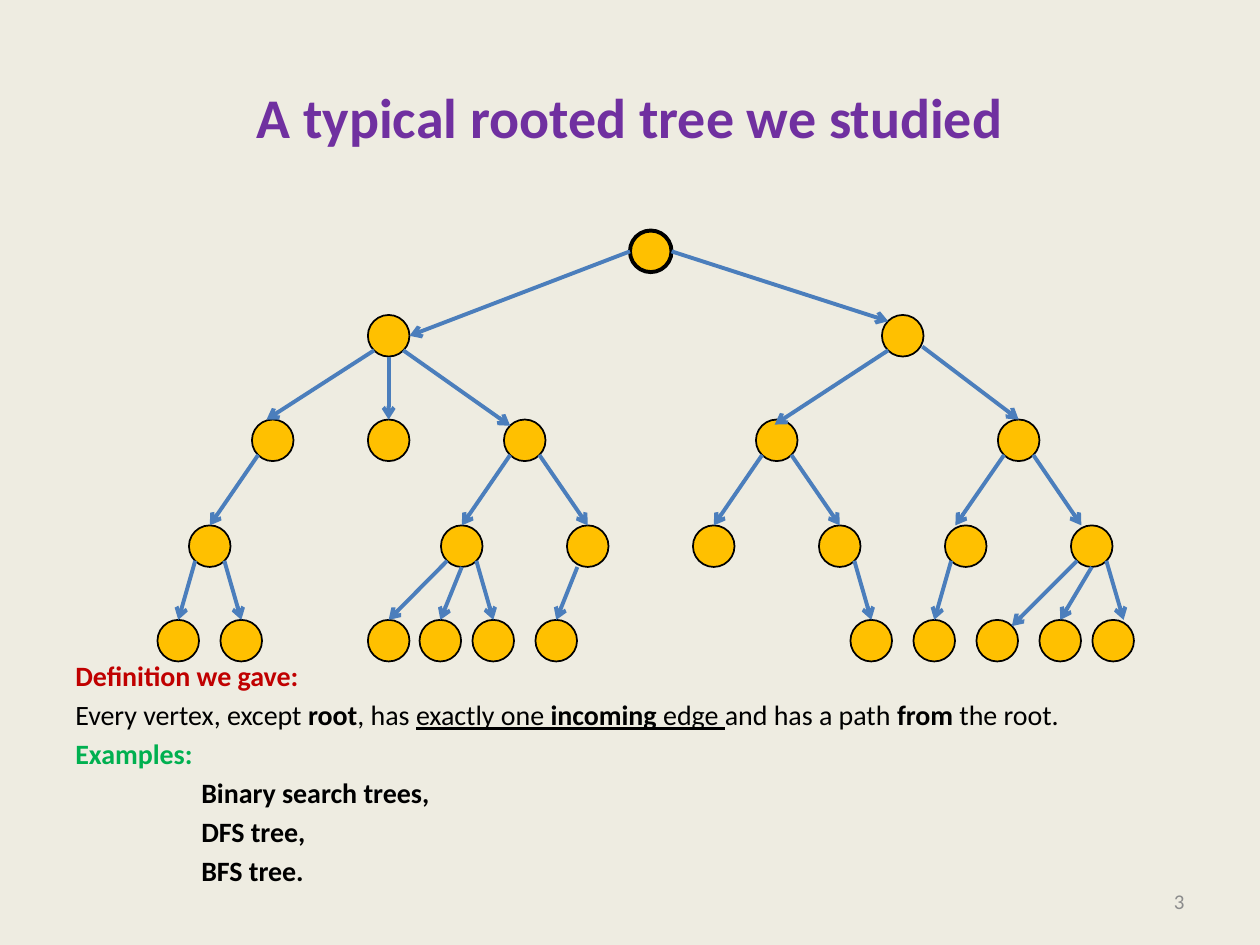
from dataclasses import dataclass
from enum import Enum

from lxml.etree import SubElement
from pptx import Presentation
from pptx.dml.color import RGBColor
from pptx.enum.shapes import MSO_CONNECTOR, MSO_SHAPE
from pptx.enum.text import MSO_ANCHOR, PP_ALIGN
from pptx.oxml.ns import qn
from pptx.slide import Slide
from pptx.text.text import TextFrame
from pptx.util import Inches, Pt

DIAMETER = 0.33
BLACK = "000000"


class Site(Enum):
    """Points on a vertex, as fractions of its diameter from the top left."""
    TOP = (0.5, 0)
    TOP_LEFT = (0.35, 0)
    TOP_RIGHT = (0.75, 0)
    TOP_QUARTER = (0.25, 0)
    TOP_INSIDE = (0.45, 0.12)
    UPPER_LEFT = (0.15, 0.15)
    UPPER_RIGHT = (0.85, 0.15)
    LEFT = (0, 0.5)
    RIGHT = (1, 0.5)
    LOWER_LEFT = (0.15, 0.85)
    LOWER_RIGHT = (0.85, 0.85)
    LOWER_SIDE = (0.97, 0.76)
    BOTTOM = (0.5, 1)
    BOTTOM_QUARTER = (0.25, 1)


@dataclass(frozen=True)
class Vertex:
    left: float
    top: float
    outline: float = 1

    def point(self, site: Site) -> tuple[float, float]:
        across, down = site.value
        return self.left + across * DIAMETER, self.top + down * DIAMETER


@dataclass(frozen=True)
class Edge:
    parent: Vertex
    child: Vertex
    leaves: Site
    enters: Site = Site.TOP


@dataclass(frozen=True)
class Words:
    text: str
    size: float = 16
    color: str = BLACK
    bold: bool = False
    underline: bool = False


def level(top: float, *lefts: float) -> list[Vertex]:
    return [Vertex(left, top) for left in lefts]


ROOT = Vertex(5, 1.83, 2.25)
MAIN = level(2.5, 2.92, 7)
INNER = level(3.33, 2, 2.92, 4, 6, 7.92)
LOWER = level(4.17, 1.5, 3.5, 4.5, 5.5, 6.5, 7.5, 8.5)
LEAVES = level(4.92, 1.25, 1.75, 2.92, 3.33, 3.75, 4.25,
               6.75, 7.25, 7.75, 8.25, 8.67)
VERTICES = [ROOT, *MAIN, *INNER, *LOWER, *LEAVES]

EDGES = [
    Edge(ROOT, MAIN[0], Site.LEFT, Site.RIGHT),
    Edge(ROOT, MAIN[1], Site.RIGHT, Site.UPPER_LEFT),
    Edge(MAIN[0], INNER[0], Site.LOWER_LEFT, Site.TOP_LEFT),
    Edge(MAIN[0], INNER[1], Site.BOTTOM),
    Edge(MAIN[0], INNER[2], Site.LOWER_RIGHT, Site.UPPER_LEFT),
    Edge(MAIN[1], INNER[3], Site.LOWER_LEFT, Site.TOP_INSIDE),
    Edge(MAIN[1], INNER[4], Site.LOWER_SIDE),
    Edge(INNER[0], LOWER[0], Site.LOWER_LEFT),
    Edge(INNER[2], LOWER[1], Site.LOWER_LEFT),
    Edge(INNER[2], LOWER[2], Site.LOWER_RIGHT),
    Edge(INNER[3], LOWER[3], Site.LOWER_LEFT),
    Edge(INNER[3], LOWER[4], Site.LOWER_RIGHT),
    Edge(INNER[4], LOWER[5], Site.LOWER_LEFT, Site.TOP_QUARTER),
    Edge(INNER[4], LOWER[6], Site.LOWER_RIGHT, Site.TOP_QUARTER),
    Edge(LOWER[0], LEAVES[0], Site.LOWER_LEFT),
    Edge(LOWER[0], LEAVES[1], Site.LOWER_RIGHT),
    Edge(LOWER[1], LEAVES[2], Site.LOWER_LEFT),
    Edge(LOWER[1], LEAVES[3], Site.BOTTOM),
    Edge(LOWER[1], LEAVES[4], Site.LOWER_RIGHT),
    Edge(LOWER[2], LEAVES[5], Site.BOTTOM_QUARTER),
    Edge(LOWER[4], LEAVES[6], Site.LOWER_RIGHT),
    Edge(LOWER[5], LEAVES[7], Site.LOWER_LEFT),
    Edge(LOWER[6], LEAVES[8], Site.LOWER_LEFT, Site.UPPER_RIGHT),
    Edge(LOWER[6], LEAVES[9], Site.BOTTOM),
    Edge(LOWER[6], LEAVES[10], Site.LOWER_RIGHT, Site.TOP_RIGHT),
]

DEFINITION = [
    [Words("Definition we gave:", color="C00000", bold=True)],
    [Words("Every vertex, except "), Words("root", bold=True), Words(", has "),
     Words("exactly one ", underline=True),
     Words("incoming", bold=True, underline=True),
     Words(" edge ", underline=True), Words("and has a path "),
     Words("from", bold=True), Words(" the root.")],
    [Words("Examples:", color="00B050", bold=True)],
]
EXAMPLES = ["Binary search trees,", "DFS tree,", "BFS tree."]


def rgb(color: str) -> RGBColor:
    return RGBColor.from_string(color)


def add_box(page: Slide, left: float, top: float, width: float, height: float,
            anchor: MSO_ANCHOR = MSO_ANCHOR.MIDDLE) -> TextFrame:
    box = page.shapes.add_textbox(Inches(left), Inches(top),
                                  Inches(width), Inches(height))
    box.text_frame.word_wrap = True
    box.text_frame.vertical_anchor = anchor
    return box.text_frame


def write(frame: TextFrame, words: list[Words],
          align: PP_ALIGN = PP_ALIGN.LEFT, indent: float = 0) -> None:
    """Fill the empty first paragraph, or add one below the others."""
    para = frame.paragraphs[0]
    if para.runs:
        para = frame.add_paragraph()
        para.space_before = Pt(3)
    para.alignment = align
    if indent:
        para._p.get_or_add_pPr().set("marL", str(Inches(indent)))
    for piece in words:
        span = para.add_run()
        span.text = piece.text
        span.font.name = "Calibri"
        span.font.size = Pt(piece.size)
        span.font.bold = piece.bold
        span.font.underline = piece.underline
        span.font.color.rgb = rgb(piece.color)


def draw_vertex(page: Slide, vertex: Vertex) -> None:
    circle = page.shapes.add_shape(
        MSO_SHAPE.OVAL, Inches(vertex.left), Inches(vertex.top),
        Inches(DIAMETER), Inches(DIAMETER))
    circle.shadow.inherit = False
    circle.fill.solid()
    circle.fill.fore_color.rgb = rgb("FFC000")
    circle.line.color.rgb = rgb(BLACK)
    circle.line.width = Pt(vertex.outline)


def draw_edge(page: Slide, edge: Edge) -> None:
    ends = edge.parent.point(edge.leaves) + edge.child.point(edge.enters)
    arrow = page.shapes.add_connector(MSO_CONNECTOR.STRAIGHT,
                                      *(Inches(value) for value in ends))
    arrow.line.color.rgb = rgb("4B7EBC")
    arrow.line.width = Pt(2.25)
    SubElement(arrow.line._get_or_add_ln(), qn("a:tailEnd"), type="arrow")
    SubElement(arrow._element.spPr, qn("a:effectLst"))


def main() -> None:
    deck = Presentation()
    deck.slide_width, deck.slide_height = Inches(10), Inches(7.5)
    page = deck.slides.add_slide(deck.slide_layouts[6])
    page.background.fill.solid()
    page.background.fill.fore_color.rgb = rgb("EEECE1")

    write(add_box(page, 0.5, 0.3, 9, 1.25),
          [Words("A typical rooted tree we studied", 32, "7030A0", True)],
          PP_ALIGN.CENTER)
    body = add_box(page, 0.5, 5.18, 9, 2.07, MSO_ANCHOR.TOP)
    for words in DEFINITION:
        write(body, words)
    for example in EXAMPLES:
        write(body, [Words(example, bold=True)], indent=1)
    write(add_box(page, 7.17, 6.95, 2.33, 0.4),
          [Words("3", 12, "8C8C8C")], PP_ALIGN.RIGHT)

    for vertex in VERTICES:
        draw_vertex(page, vertex)
    for edge in EDGES:
        draw_edge(page, edge)
    deck.save("out.pptx")


if __name__ == "__main__":
    main()
